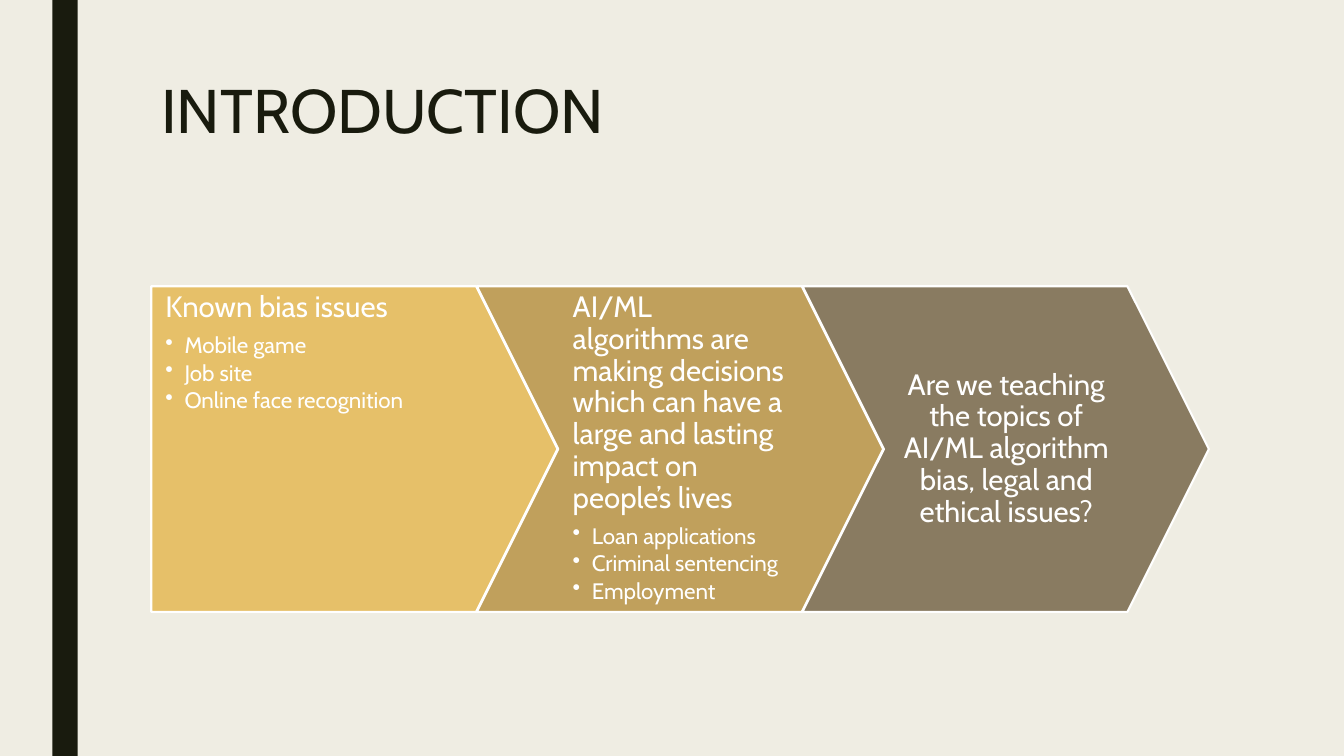
from lxml import etree
from pptx import Presentation
from pptx.dml.color import RGBColor
from pptx.enum.shapes import MSO_SHAPE as Shape
from pptx.enum.text import MSO_ANCHOR as Anchor, PP_ALIGN as Align
from pptx.oxml.ns import qn
from pptx.util import Inches, Pt

FONT = "Cabin"
DARK, WHITE, BACKGROUND = "191B0E", "FFFFFF", "EFEDE3"
STEP_LEFT, STEP_TOP, STEP_PITCH = 1.5, 2.84, 3.23
STEP_WIDTH, STEP_HEIGHT, NOTCH = 4.03, 3.23, 0.81
HEADING = {"size": 21, "line_spacing": 0.9, "space_after": Pt(7.35)}
BULLET = {"size": 16, "line_spacing": 0.9, "space_after": Pt(2.4), "level": 1}
STEPS = [
    {"outline": Shape.PENTAGON, "fill": "E6C069", "offset": 0, "width": 3.63,
     "right_inset": 0.57, "heading": "Known bias issues",
     "bullets": ["Mobile game", "Job site", "Online face recognition"]},
    {"outline": Shape.CHEVRON, "fill": "C0A05C", "offset": NOTCH, "width": 2.42,
     "heading": "AI/ML algorithms are making decisions which can have a large "
                "and lasting impact on people’s lives",
     "bullets": ["Loan applications", "Criminal sentencing", "Employment"]},
    {"outline": Shape.CHEVRON, "fill": "897B61", "offset": NOTCH, "width": 2.42,
     "heading": "Are we teaching the topics of AI/ML algorithm bias, legal and "
                "ethical issues?",
     "anchor": Anchor.MIDDLE, "alignment": Align.CENTER},
]


def color(value):
    """Turn a hex string into a colour."""
    return RGBColor.from_string(value)


def apply_format(target, values):
    """Set every attribute named in a dict of format values."""
    for name, value in values.items():
        setattr(target, name, value)


def add_block(slide, outline, box, fill, line=None):
    """Add a filled preset shape, with a border if a line colour is given."""
    shape = slide.shapes.add_shape(outline, *map(Inches, box))
    shape.shadow.inherit = False
    shape.fill.solid()
    shape.fill.fore_color.rgb = color(fill)
    if line:
        shape.line.color.rgb = color(line)
        shape.line.width = Pt(1.5)
    else:
        shape.line.fill.background()
    return shape


def add_text_frame(slide, box, insets, anchor=Anchor.TOP):
    """Add a wrapping text box and return its frame."""
    frame = slide.shapes.add_textbox(*map(Inches, box)).text_frame
    apply_format(frame, {"word_wrap": True, "vertical_anchor": anchor})
    sides = ("margin_left", "margin_top", "margin_right", "margin_bottom")
    apply_format(frame, dict(zip(sides, map(Inches, insets))))
    return frame


def write_paragraph(paragraph, text, size, text_color=WHITE, bullet=False, **values):
    """Fill a paragraph with one formatted run."""
    apply_format(paragraph, values)
    if bullet:
        properties = paragraph._p.get_or_add_pPr()
        properties.set("marL", str(Inches(0.19)))
        properties.set("indent", str(Inches(-0.19)))
        etree.SubElement(properties, qn("a:buChar")).set("char", "•")
    run = paragraph.add_run()
    run.text = text
    apply_format(run.font, {"name": FONT, "size": Pt(size)})
    run.font.color.rgb = color(text_color)


def add_step(slide, index, step):
    """Add one arrow of the process with its heading and bullets."""
    left = STEP_LEFT + index * STEP_PITCH
    arrow = add_block(slide, step["outline"],
                      (left, STEP_TOP, STEP_WIDTH, STEP_HEIGHT), step["fill"], WHITE)
    arrow.adjustments[0] = 0.25
    frame = add_text_frame(
        slide, (left + step["offset"], STEP_TOP, step["width"], STEP_HEIGHT),
        (0.14, 0.06, step.get("right_inset", 0.14), 0.06),
        step.get("anchor", Anchor.TOP))
    write_paragraph(frame.paragraphs[0], step["heading"],
                    alignment=step.get("alignment", Align.LEFT), **HEADING)
    for text in step.get("bullets", []):
        write_paragraph(frame.add_paragraph(), text, bullet=True, **BULLET)


def main():
    """Build and save the slide."""
    presentation = Presentation()
    apply_format(presentation, {"slide_width": Inches(13.33),
                                "slide_height": Inches(7.5)})
    slide = presentation.slides.add_slide(presentation.slide_layouts[6])
    slide.background.fill.solid()
    slide.background.fill.fore_color.rgb = color(BACKGROUND)
    add_block(slide, Shape.RECTANGLE, (0.52, 0, 0.25, 7.5), DARK)
    title = add_text_frame(slide, (1.5, 0.75, 10.5, 1.62), (0.1, 0.05, 0.1, 0.05))
    write_paragraph(title.paragraphs[0], "INTRODUCTION", 44, DARK, line_spacing=0.89)
    for index, step in enumerate(STEPS):
        add_step(slide, index, step)
    presentation.save("out.pptx")


if __name__ == "__main__":
    main()
